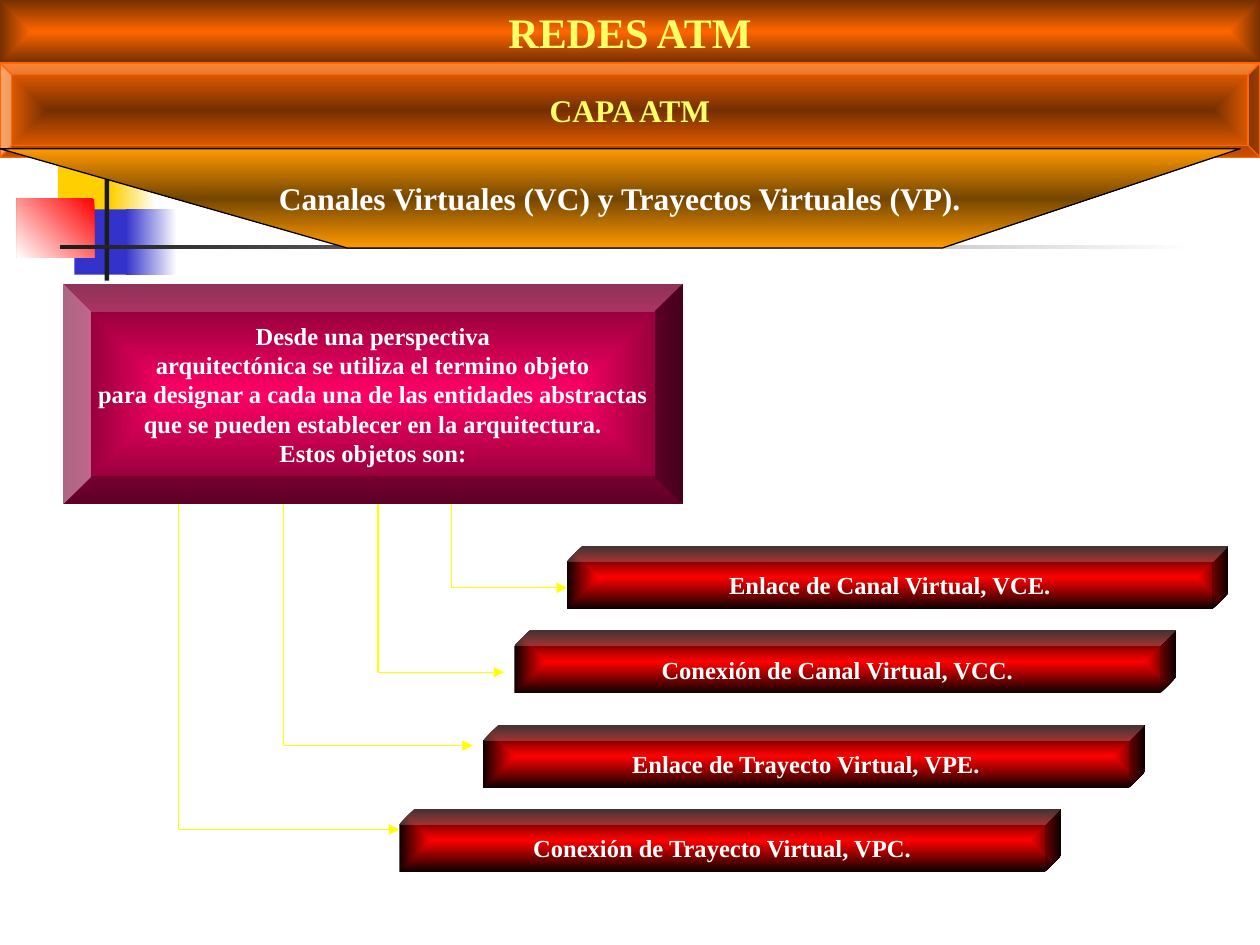
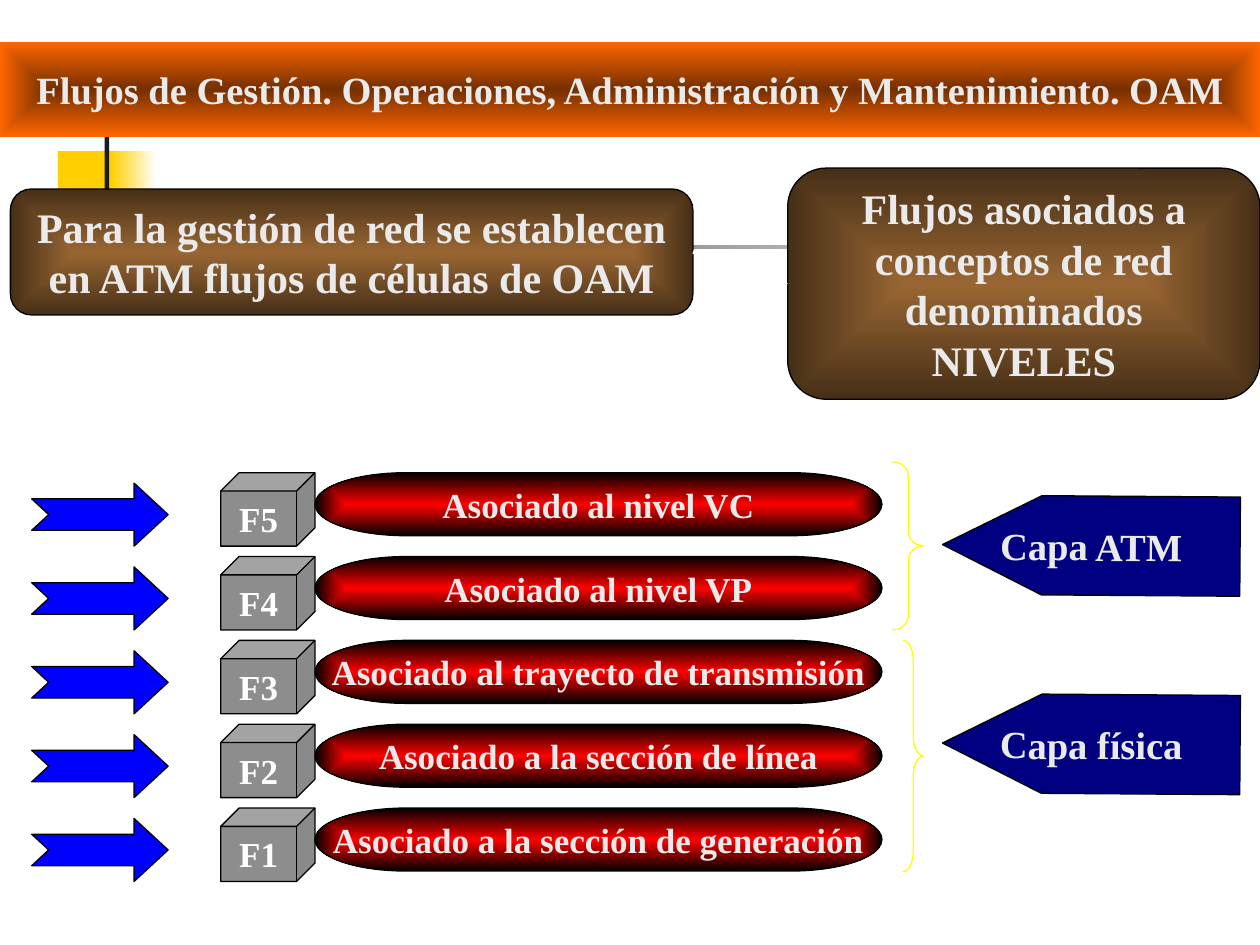
from lxml import etree
from pptx import Presentation
from pptx.dml.color import RGBColor
from pptx.enum.shapes import MSO_CONNECTOR, MSO_SHAPE
from pptx.enum.text import MSO_ANCHOR, MSO_AUTO_SIZE, PP_ALIGN
from pptx.oxml import parse_xml
from pptx.oxml.ns import qn
from pptx.util import Cm, Pt

RECT, BEVEL, CUBE = MSO_SHAPE.RECTANGLE, MSO_SHAPE.BEVEL, MSO_SHAPE.CUBE
ROUNDED, PILL = MSO_SHAPE.ROUNDED_RECTANGLE, MSO_SHAPE.FLOWCHART_TERMINATOR
ARROW, BRACE = MSO_SHAPE.NOTCHED_RIGHT_ARROW, MSO_SHAPE.RIGHT_BRACE
STRAIGHT = MSO_CONNECTOR.STRAIGHT

FONT = "Times New Roman"
WHITE, BLACK, PALE, DARK = "FFFFFF", "000000", "EAEAEA", "1C1C1C"
YELLOW, TITLE_YELLOW, ORANGE = "FFFF00", "FFFF66", "FF6600"
BROWN_ORANGE = "752F00"
GRADIENT = (
    '<a:gradFill xmlns:a="http://schemas.openxmlformats.org/drawingml/2006/main" '
    'rotWithShape="1"><a:gsLst>'
    '<a:gs pos="0"><a:srgbClr val="{}"/></a:gs>'
    '<a:gs pos="100000"><a:srgbClr val="{}"/></a:gs></a:gsLst>{}</a:gradFill>')
FROM_CENTRE = ('<a:path path="rect"><a:fillToRect l="50000" t="50000" '
               'r="50000" b="50000"/></a:path>')


def style(sp, fill, line=None, text="", size=14, color=WHITE, wrap=False):
    """fill is a hex colour, None, (centre, edge) or (start, end, degrees)."""
    sp.shadow.inherit = False
    if fill is None:
        sp.fill.background()
    else:
        sp.fill.solid()
        if isinstance(fill, str):
            sp.fill.fore_color.rgb = RGBColor.from_string(fill)
        else:
            course = FROM_CENTRE
            if len(fill) == 3:
                course = f'<a:lin ang="{fill[2] * 60000}" scaled="0"/>'
            spPr = sp._element.spPr
            spPr.replace(spPr.find(qn("a:solidFill")),
                         parse_xml(GRADIENT.format(fill[0], fill[1], course)))
    if line:
        sp.line.color.rgb = RGBColor.from_string(line)
        sp.line.width = Pt(0.75)
    else:
        sp.line.fill.background()
    if text:
        tf = sp.text_frame
        tf.text = text
        tf.word_wrap = wrap
        tf.auto_size = MSO_AUTO_SIZE.NONE
        tf.vertical_anchor = MSO_ANCHOR.MIDDLE
        for p in tf.paragraphs:
            p.alignment = PP_ALIGN.CENTER
            for r in p.runs:
                r.font.name, r.font.size, r.font.bold = FONT, Pt(size), True
                r.font.color.rgb = RGBColor.from_string(color)


def add_line(slide, x1, y1, x2, y2, color=YELLOW, width=0.75, head=None):
    cxn = slide.shapes.add_connector(STRAIGHT, Cm(x1), Cm(y1), Cm(x2), Cm(y2))
    cxn.line.color.rgb = RGBColor.from_string(color)
    cxn.line.width = Pt(width)
    if head:
        etree.SubElement(cxn.line._get_or_add_ln(), qn("a:tailEnd"), type=head)
    etree.SubElement(cxn._element.spPr, qn("a:effectLst"))


prs = Presentation()
prs.slide_width, prs.slide_height = Cm(25.4), Cm(19.05)
layout = prs.slide_layouts[5]
objects_slide, flows_slide = [prs.slides.add_slide(layout) for _ in range(2)]

# Shared corner ornament and rule, kept on the layout
ornament = [
    (1.17, 3.05, 1.22, 1.32, "FFCF01"),
    (2.24, 3.05, 0.91, 1.32, (WHITE, "FFCF01", 180)),
    (1.5, 4.22, 1.17, 1.32, "3333CC"),
    (2.54, 4.22, 1.02, 1.32, (WHITE, "3333CC", 180)),
    (0.34, 4.01, 1.56, 1.18, ("FF0000", WHITE, 135)),
    (2.11, 2.74, 0.09, 2.92, DARK),
    (1.22, 4.94, 22.86, 0.09, (WHITE, DARK, 180)),
]
for *box, fill in ornament:
    sp = objects_slide.shapes.add_shape(RECT, *map(Cm, box))
    style(sp, fill)
    layout.shapes._spTree.append(sp._element)

# Title bands
titles = [
    (objects_slide, "REDES ATM", 0, 1.27, "rect", (ORANGE, BROWN_ORANGE), None, 24, TITLE_YELLOW),
    (flows_slide, "Flujos de Gestión. Operaciones, Administración y Mantenimiento. OAM",
     0.85, 1.9, "bevel", (BROWN_ORANGE, ORANGE), ORANGE, 22, PALE),
]
for slide, text, top, height, preset, fill, line, size, color in titles:
    sp = slide.shapes.title
    sp.left, sp.top, sp.width, sp.height = Cm(0), Cm(top), Cm(25.4), Cm(height)
    geom = etree.SubElement(sp._element.spPr, qn("a:prstGeom"), prst=preset)
    etree.SubElement(geom, qn("a:avLst"))
    style(sp, fill, line, text, size, color)

# Slide 1: objects of the ATM layer
shapes = objects_slide.shapes
sp = shapes.add_shape(BEVEL, Cm(1.27), Cm(5.72), Cm(12.5), Cm(4.45))
style(sp, ("FF0066", "75002F"), text="\n".join([
    "Desde una perspectiva",
    "arquitectónica se utiliza el termino objeto",
    "para designar a cada una de las entidades abstractas",
    "que se pueden establecer en la arquitectura.",
    "Estos objetos son:"]))

sp = shapes.add_shape(BEVEL, Cm(0), Cm(1.27), Cm(25.4), Cm(1.9))
style(sp, (BROWN_ORANGE, ORANGE), ORANGE, "CAPA ATM", 18, TITLE_YELLOW)

banner = shapes.build_freeform(0.42, 3.18, scale=Cm(1))
banner.add_line_segments([(24.98, 3.18), (18.84, 4.87), (6.56, 4.87)])
style(banner.convert_to_shape(), ("754600", "FF9900"), BLACK,
      "Canales Virtuales (VC) y Trayectos Virtuales (VP).", 18)

# text, bar left, bar top, x of the drop, arrow y, arrow end
objects = [
    ("Enlace de Canal Virtual, VCE.", 11.43, 11, 9.1, 11.85, 11.43),
    ("Conexión de Canal Virtual, VCC.", 10.37, 12.7, 7.62, 13.55, 10.16),
    ("Enlace de Trayecto Virtual, VPE.", 9.74, 14.61, 5.72, 15.03, 9.53),
    ("Conexión de Trayecto Virtual, VPC.", 8.05, 16.3, 3.6, 16.72, 8.05),
]
for text, left, top, drop_x, arrow_y, arrow_end in objects:
    sp = shapes.add_shape(CUBE, Cm(left), Cm(top), Cm(13.34), Cm(1.27))
    style(sp, ("FF0000", "0F0000"), text=text)
    add_line(objects_slide, drop_x, 10.16, drop_x, arrow_y)
    add_line(objects_slide, drop_x, arrow_y, arrow_end, arrow_y, head="triangle")

# Slide 2: OAM flows
shapes = flows_slide.shapes
notes = [
    ("Para la gestión de red se establecen en ATM flujos de células de OAM",
     0.21, 3.81, 13.76, 2.54),
    ("Flujos asociados a conceptos de red denominados NIVELES",
     15.88, 3.39, 9.52, 4.66),
]
for text, *box in notes:
    sp = shapes.add_shape(ROUNDED, *map(Cm, box))
    style(sp, ("996633", "462F17"), BLACK, text, 24, PALE, wrap=True)
add_line(flows_slide, 13.97, 5.08, 15.88, 5.72, WHITE, 2, "stealth")

levels = [
    ("F5", "Asociado al nivel VC"),
    ("F4", "Asociado al nivel VP"),
    ("F3", "Asociado al trayecto de transmisión"),
    ("F2", "Asociado a la sección de línea"),
    ("F1", "Asociado a la sección de generación"),
]
for i, (flow, level) in enumerate(levels):
    top = 9.53 + i * 1.69
    sp = shapes.add_shape(CUBE, Cm(4.45), Cm(top), Cm(1.9), Cm(1.48))
    style(sp, DARK, BLACK, flow, 20)
    fill_color = sp._element.spPr.find(qn("a:solidFill"))[0]
    etree.SubElement(fill_color, qn("a:alpha"), val="50000")

    sp = shapes.add_shape(ARROW, Cm(0.64), Cm(top + 0.21), Cm(2.75), Cm(1.27))
    sp.adjustments[1] = 0.54
    style(sp, "0000FF", BLACK)

    sp = shapes.add_shape(PILL, Cm(6.35), Cm(top), Cm(11.43), Cm(1.27))
    style(sp, ("FF0000", BLACK), BLACK, level, 20, PALE)

# layer, top of its tag, brace box, brace curvature
layers = [
    ("Capa ATM", 9.95, (17.99, 9.31, 0.64, 3.39), 0.44),
    ("Capa física", 14.18, (18.2, 12.91, 0.42, 4.66), 0.92),
]
for layer, top, brace_box, curvature in layers:
    sp = shapes.add_shape(BRACE, *map(Cm, brace_box))
    sp.adjustments[0] = curvature
    style(sp, None, YELLOW)

    tag = shapes.build_freeform(24.55, top, scale=Cm(1))
    tag.add_line_segments([(24.55, top + 2.12), (20.58, top + 2.12),
                           (19.26, top + 1.06), (20.58, top)])
    sp = tag.convert_to_shape()
    sp.rotation = 0.4
    style(sp, "000080", BLACK, layer, 22, PALE)

prs.save("out.pptx")
